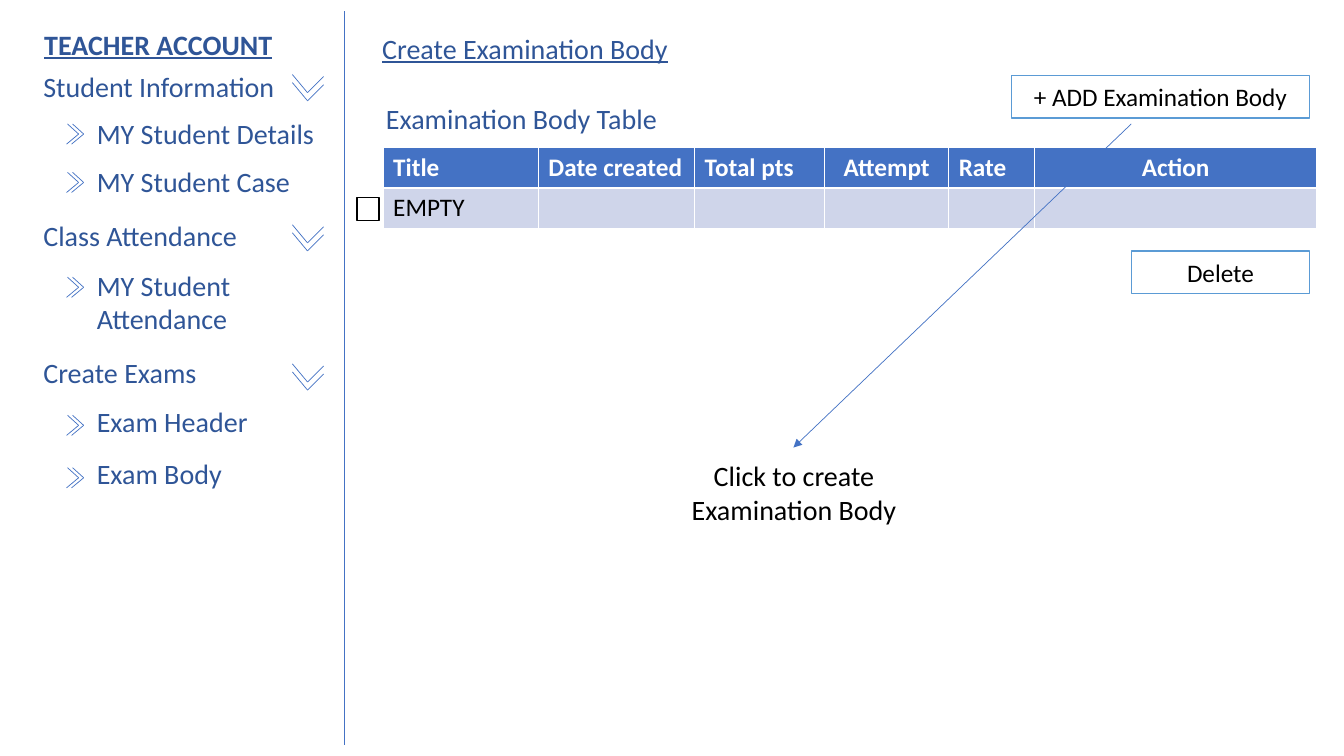
from lxml import etree
from pptx import Presentation, util as u
from pptx.dml.color import RGBColor
from pptx.enum import shapes, text
from pptx.oxml import ns

NAVY = RGBColor(0x2F, 0x55, 0x97)
BLUE = RGBColor(0x44, 0x72, 0xC4)
SKY = RGBColor(0x5B, 0x9B, 0xD5)
PALE = RGBColor(0xCF, 0xD5, 0xEA)
WHITE = RGBColor(0xFF, 0xFF, 0xFF)
BLACK = RGBColor(0, 0, 0)

UNITS_PER_INCH = 10
LINE_ROWS = 3.39
ITEM_INDENT = 5.3

MENU = [
    ("Student Information", 0, 6.4, 1),
    ("MY Student Details", 1, 11.1, 1),
    ("MY Student Case", 1, 15.9, 1),
    ("Class Attendance", 0, 21.3, 1),
    ("MY Student Attendance", 1, 26.3, 2),
    ("Create Exams", 0, 35.1, 1),
    ("Exam Header", 1, 40, 1),
    ("Exam Body", 1, 45.2, 1),
]
COLUMNS = [
    ("Title", 15.4, False),
    ("Date created", 15.5, False),
    ("Total pts", 12.9, False),
    ("Attempt", 12.3, True),
    ("Rate", 8.5, False),
    ("Action", 28, True),
]
DOWN_ARMS = [(3.1, 0.2, 1.5, 1.8), (0, 0, 1.5, 1.8)]
RIGHT_ARMS = [(0.1, 0, 1.2, 1), (0, 2, 1.2, 1)]


def grid(*units):
    return [u.Inches(round(n / UNITS_PER_INCH, 2)) for n in units]


def write(paragraph, words, size=20, color=NAVY, bold=False, underline=False,
          centered=False, before=0):
    paragraph.alignment = text.PP_ALIGN.CENTER if centered else text.PP_ALIGN.LEFT
    paragraph.space_before = u.Pt(before)
    run = paragraph.add_run()
    run.text = words
    run.font.name = "Calibri"
    run.font.size = u.Pt(size)
    run.font.color.rgb = color
    run.font.bold = bold
    run.font.underline = underline


def add_label(slide, box, words, **style):
    frame = slide.shapes.add_textbox(*grid(*box)).text_frame
    frame.word_wrap = True
    write(frame.paragraphs[0], words, **style)


def place(placeholder, box):
    placeholder.left, placeholder.top, placeholder.width, placeholder.height = grid(*box)
    frame = placeholder.text_frame
    frame.word_wrap = True
    frame.auto_size = text.MSO_AUTO_SIZE.NONE
    frame.vertical_anchor = text.MSO_ANCHOR.TOP
    return frame


def add_rule(parent, start, end, arrow=False):
    rule = parent.add_connector(shapes.MSO_CONNECTOR.STRAIGHT, *grid(*start, *end))
    rule.line.color.rgb = BLUE
    rule.line.width = u.Pt(0.5)
    if arrow:
        etree.SubElement(rule.line._get_or_add_ln(), ns.qn("a:tailEnd"), type="triangle")
    etree.SubElement(rule._element.spPr, ns.qn("a:effectLst"))


def add_chevron(slide, left, top, arms, step):
    chevron = slide.shapes.add_group_shape().shapes
    for repeat in (1, 0):
        x, y = left + repeat * step[0], top + repeat * step[1]
        for x1, y1, x2, y2 in arms:
            add_rule(chevron, (x + x1, y + y1), (x + x2, y + y2))


def add_box(slide, box, border, words=""):
    panel = slide.shapes.add_shape(shapes.MSO_SHAPE.RECTANGLE, *grid(*box))
    panel.shadow.inherit = False
    panel.fill.solid()
    panel.fill.fore_color.rgb = WHITE
    panel.line.color.rgb = border
    panel.line.width = u.Pt(1)
    if words:
        panel.text_frame.vertical_anchor = text.MSO_ANCHOR.MIDDLE
        write(panel.text_frame.paragraphs[0], words, size=18, color=BLACK, centered=True)


def add_menu(slide):
    menu = place(slide.placeholders[1], (3.3, 6.4, 30, 44))
    bottom = MENU[0][2]
    for index, (label, level, top, lines) in enumerate(MENU):
        entry = menu.add_paragraph() if index else menu.paragraphs[0]
        entry.level = level
        write(entry, label, before=round((top - bottom) * 7.2, 1))
        properties = entry._p.get_or_add_pPr()
        properties.set("marL", str(grid(level * ITEM_INDENT)[0]))
        properties.set("indent", "0")
        etree.SubElement(properties, ns.qn("a:buNone"))
        bottom = top + lines * LINE_ROWS
        if level:
            add_chevron(slide, 6.6, top + 1.2, RIGHT_ARMS, (0.5, 0))
        else:
            add_chevron(slide, 29, top + 1, DOWN_ARMS, (0, 0.8))


def add_exam_table(slide):
    width = sum(column[1] for column in COLUMNS)
    table = slide.shapes.add_table(2, len(COLUMNS), *grid(38, 14.6, width, 8.1)).table
    for index, (heading, span, centered) in enumerate(COLUMNS):
        table.columns[index].width = grid(span)[0]
        for row, fill in enumerate((BLUE, PALE)):
            cell = table.cell(row, index)
            cell.fill.solid()
            cell.fill.fore_color.rgb = fill
        write(table.cell(0, index).text_frame.paragraphs[0], heading,
              size=18, color=WHITE, bold=True, centered=centered)
    write(table.cell(1, 0).text_frame.paragraphs[0], "EMPTY", size=18, color=BLACK)


def main():
    deck = Presentation()
    deck.slide_width, deck.slide_height = u.Inches(13.33), u.Inches(7.5)
    slide = deck.slides.add_slide(deck.slide_layouts[1])

    heading = place(slide.shapes.title, (36.9, 2.6, 39.6, 4.4))
    write(heading.paragraphs[0], "Create Examination Body", underline=True)
    add_label(slide, (3.4, 2.2, 26.8, 4.4), "TEACHER ACCOUNT", bold=True, underline=True)
    add_menu(slide)
    add_rule(slide.shapes, (34.2, 1.1), (34.2, 73.9))

    add_exam_table(slide)
    add_label(slide, (37.3, 9.6, 38.5, 4.4), "Examination Body Table")
    add_box(slide, (35.4, 19.6, 2.2, 2.3), BLACK)
    add_box(slide, (112.2, 24.9, 17.7, 4.2), SKY, "Delete")
    add_box(slide, (100.3, 7.5, 29.6, 4.2), SKY, "+ ADD Examination Body")
    add_rule(slide.shapes, (112.2, 12.3), (78.7, 44.4), arrow=True)
    add_label(slide, (64.8, 45, 27.9, 7.7), "Click to create Examination Body",
              color=BLACK, centered=True)
    deck.save("out.pptx")


if __name__ == "__main__":
    main()
